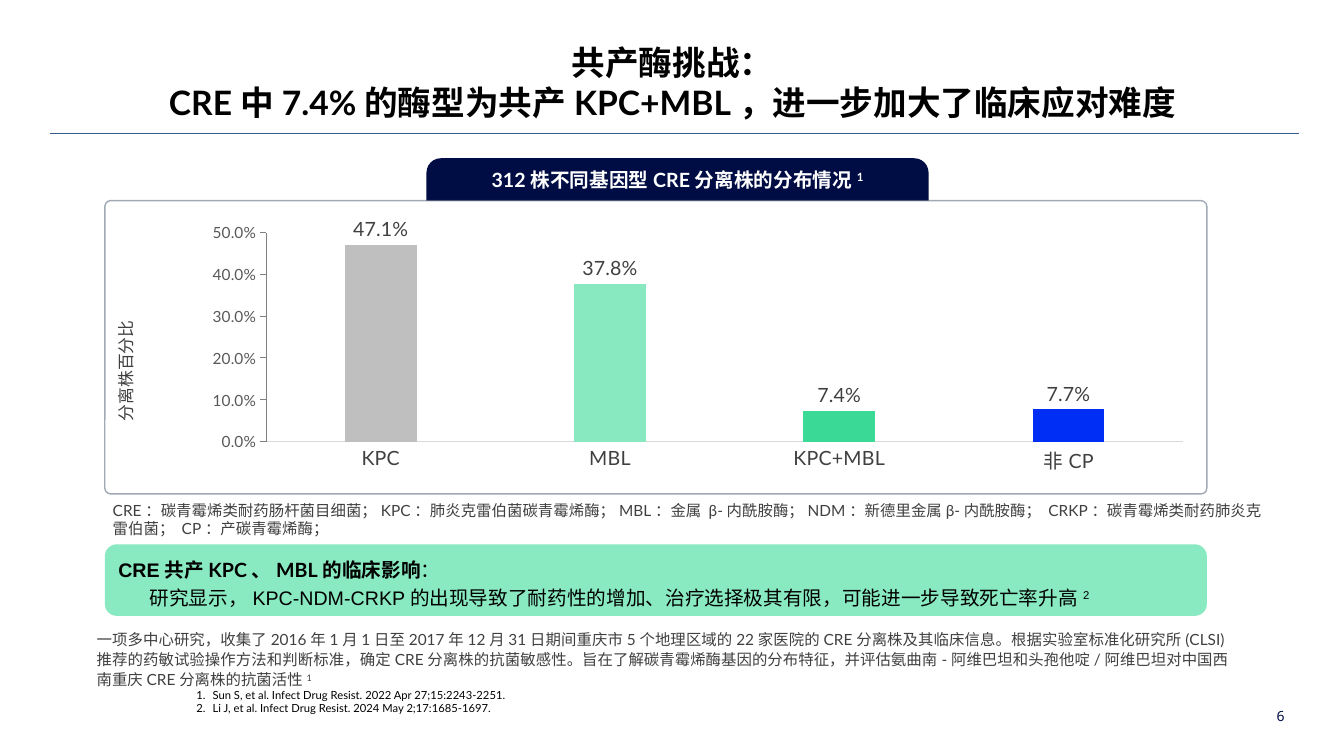
from lxml import etree
from pptx import Presentation
from pptx import util as u
from pptx.chart import data
from pptx.dml import color
from pptx.enum import chart as charts, shapes, text
from pptx.oxml import ns, parse_xml

PX = 9144
INK, GREY, NAVY = "000000", "404040", "000D45"
LEFT, CENTER, RIGHT, JUSTIFY = (text.PP_ALIGN.LEFT, text.PP_ALIGN.CENTER,
                                text.PP_ALIGN.RIGHT, text.PP_ALIGN.JUSTIFY)
TOP, MIDDLE, BOTTOM = (text.MSO_ANCHOR.TOP, text.MSO_ANCHOR.MIDDLE,
                       text.MSO_ANCHOR.BOTTOM)

TITLE = "共产酶挑战：\vCRE中7.4%的酶型为共产KPC+MBL，进一步加大了临床应对难度"
CHART_HEADING = [("312株不同基因型CRE分离株的分布情况", {}), ("1", {"sup": True})]
AXIS_TITLE = "分离株百分比"
ISOLATES = [("KPC", 0.471, "BFBFBF"), ("MBL", 0.378, "88E8BF"),
            ("KPC+MBL", 0.074, "3BD996"), ("非CP", 0.077, "002EF5")]
ABBREVIATIONS = ("CRE：碳青霉烯类耐药肠杆菌目细菌；KPC：肺炎克雷伯菌碳青霉烯酶；"
                 "MBL：金属 β-内酰胺酶；NDM：新德里金属β-内酰胺酶； "
                 "CRKP：碳青霉烯类耐药肺炎克雷伯菌； CP：产碳青霉烯酶；")
IMPACT = [
    [("CRE共产", {"bold": True, "font": "Arial"}),
     ("KPC、MBL的临床影响", {"bold": True}), ("：", {})],
    [("研究显示，", {}),
     ("KPC-NDM-CRKP的出现导致了耐药性的增加、治疗选择极其有限，可能进一步导致死亡率升高",
      {"font": "Arial"}),
     ("2", {"font": "Arial", "sup": True})],
]
STUDY = [
    ("一项多中心研究，收集了2016年1月1日至2017年12月31日期间重庆市5个地理区域的22家医院的"
     "CRE分离株及其临床信息。根据实验室标准化研究所(CLSI)推荐的药敏试验操作方法和判断标准，"
     "确定CRE分离株的抗菌敏感性。旨在了解碳青霉烯酶基因的分布特征，并评估氨曲南-阿维巴坦和"
     "头孢他啶/阿维巴坦对中国西南重庆CRE分离株的抗菌活性", {}),
    ("1", {"sup": True}),
]
REFERENCES = ["Sun S, et al. Infect Drug Resist. 2022 Apr 27;15:2243-2251.",
              "Li J, et al. Infect Drug Resist. 2024 May 2;17:1685-1697."]


def px(*lengths):
    return [u.Emu(length * PX) for length in lengths]


def rgb(code):
    return color.RGBColor.from_string(code)


def style(font, size, code, name="Lato", bold=False):
    font.size, font.name, font.bold = u.Pt(size), name, bold
    font.color.rgb = rgb(code)


def write(box, paragraphs, size, code=GREY, align=LEFT, anchor=TOP,
          bold=False, font="Lato", spacing=None, grow=True):
    frame = box.text_frame
    frame.word_wrap = True
    frame.vertical_anchor = anchor
    frame.auto_size = (text.MSO_AUTO_SIZE.SHAPE_TO_FIT_TEXT if grow
                       else text.MSO_AUTO_SIZE.NONE)
    frame.text = "\n".join("" if isinstance(runs, list) else runs
                           for runs in paragraphs)
    for para, runs in zip(frame.paragraphs, paragraphs):
        para.alignment = align
        if spacing:
            para.line_spacing = spacing
        looks = [{}] * len(para.runs)
        if isinstance(runs, list):
            looks = [look for _, look in runs]
            for words, _ in runs:
                para.add_run().text = words
        for span, look in zip(para.runs, looks):
            style(span.font, size, code, look.get("font", font),
                  look.get("bold", bold))
            if look.get("sup"):
                span._r.get_or_add_rPr().set("baseline", "30000")
    return frame


def add_text(page, at, paragraphs, size, **look):
    return write(page.shapes.add_textbox(*px(*at)), paragraphs, size, **look)


def add_block(page, kind, at, fill, adjust=()):
    block = page.shapes.add_shape(kind, *px(*at))
    block.shadow.inherit = False
    block.fill.solid()
    block.fill.fore_color.rgb = rgb(fill)
    block.line.fill.background()
    for index, value in enumerate(adjust):
        block.adjustments[index] = value
    return block


def indent(para, left, first=0):
    props = para._p.get_or_add_pPr()
    props.set("marL", str(left * PX))
    props.set("indent", str(first * PX))
    return props


def add_isolate_chart(page, at):
    values = data.CategoryChartData(number_format="0.0%")
    values.categories = [name for name, _, _ in ISOLATES]
    values.add_series("Series 1", [share for _, share, _ in ISOLATES])
    chart = page.shapes.add_chart(charts.XL_CHART_TYPE.COLUMN_CLUSTERED,
                                  *px(*at), values).chart
    chart.has_legend = chart.has_title = False
    style(chart.font, 14, INK)

    plot = chart.plots[0]
    plot.gap_width, plot.overlap, plot.vary_by_categories = 219, -27, False
    series = plot.series[0]
    for index, (_, _, fill) in enumerate(ISOLATES):
        bar = series.points[index].format.fill
        bar.solid()
        bar.fore_color.rgb = rgb(fill)
    labels = series.data_labels
    labels.show_value = True
    labels.number_format, labels.number_format_is_linked = "0.0%", False
    labels.position = charts.XL_LABEL_POSITION.OUTSIDE_END
    style(labels.font, 14, GREY)

    shares = chart.value_axis
    shares.minimum_scale, shares.maximum_scale, shares.major_unit = 0, 0.5, 0.1
    shares.has_major_gridlines = False
    shares.tick_labels.number_format = "0.0%"
    shares.tick_labels.number_format_is_linked = False
    for axis, size, ink, line, tick in (
            (chart.category_axis, 14, GREY, "D9D9D9", charts.XL_TICK_MARK.NONE),
            (shares, 11, "595959", "808080", charts.XL_TICK_MARK.OUTSIDE)):
        style(axis.tick_labels.font, size, ink)
        axis.format.line.color.rgb = rgb(line)
        axis.format.line.width = u.Pt(0.75)
        axis.major_tick_mark = tick

    area = chart._chartSpace.chart.plotArea
    for old in area.findall(ns.qn("c:layout")):
        area.remove(old)
    places = "".join(f'<c:{tag} val="{value}"/>' for tag, value in (
        ("layoutTarget", "inner"), ("xMode", "edge"), ("yMode", "edge"),
        ("x", 0.12), ("y", 0.1), ("w", 0.88), ("h", 0.72)))
    area.insert(0, parse_xml(
        f'<c:layout {ns.nsdecls("c")}><c:manualLayout>{places}'
        '</c:manualLayout></c:layout>'))


def main():
    deck = Presentation()
    deck.slide_width, deck.slide_height = px(1333, 750)
    page = deck.slides.add_slide(deck.slide_layouts[6])

    rule = page.shapes.add_connector(shapes.MSO_CONNECTOR.STRAIGHT,
                                     *px(50, 132, 1288, 132))
    rule.line.color.rgb = rgb("375D8B")
    rule.line.width = u.Pt(0.75)
    etree.SubElement(rule._element.spPr, ns.qn("a:effectLst"))

    add_text(page, (1239, 690, 45, 40), ["6"], 10, code=NAVY, align=RIGHT,
             anchor=MIDDLE, font="Noto Sans", grow=False)

    kinds = shapes.MSO_SHAPE
    heading = add_block(page, kinds.ROUND_2_SAME_RECTANGLE,
                        (423, 157, 498, 43), NAVY, (0.33, 0))
    frame = write(heading, [CHART_HEADING], 14, code="FFFFFF", align=CENTER,
                  anchor=MIDDLE, bold=True, grow=False)
    frame.margin_top, frame.margin_bottom = px(0, 5)
    for span in frame.paragraphs[0].runs:
        span.font.bold = True

    panel = add_block(page, kinds.ROUNDED_RECTANGLE, (104, 199, 1093, 291),
                      "FFFFFF", (0.02,))
    panel.line.color.rgb = rgb("44546A")
    panel.line.width = u.Pt(1)
    border = panel.line._ln.find(".//" + ns.qn("a:srgbClr"))
    etree.SubElement(border, ns.qn("a:alpha")).set("val", "50000")

    add_text(page, (92, 35, 1150, 91), [TITLE], 24, code=INK, align=CENTER,
             anchor=BOTTOM, bold=True)
    references = add_text(page, (185, 678, 1180 - 35, 37), REFERENCES, 8, code=INK)
    for para in references.paragraphs:
        numbering = etree.SubElement(indent(para, 16, -16), ns.qn("a:buAutoNum"))
        numbering.set("type", "arabicPeriod")
    add_text(page, (86, 618, 1142, 70), [STUDY], 11, align=JUSTIFY, spacing=1.1)
    add_text(page, (102, 492, 1164, 47), [ABBREVIATIONS], 11)

    add_isolate_chart(page, (140, 202, 1034, 288))
    label = add_block(page, kinds.RECTANGLE, (11, 353, 228, 30), "FFFFFF")
    label.rotation = 270
    write(label, [AXIS_TITLE], 12, align=CENTER)

    impact = add_block(page, kinds.ROUNDED_RECTANGLE, (104, 540, 1093, 71), "89E9C1")
    frame = write(impact, IMPACT, 14, code=INK, spacing=1.2)
    indent(frame.paragraphs[1], 31)

    deck.save("out.pptx")


if __name__ == "__main__":
    main()
